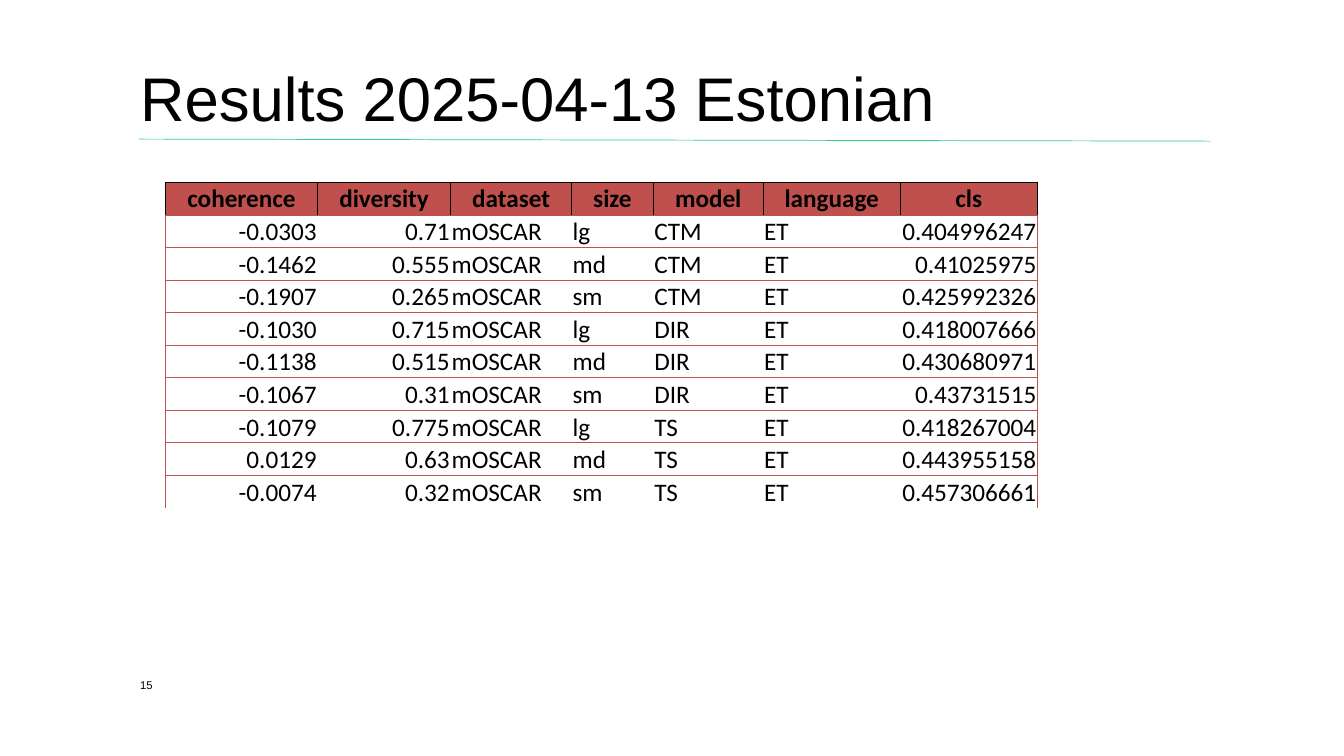
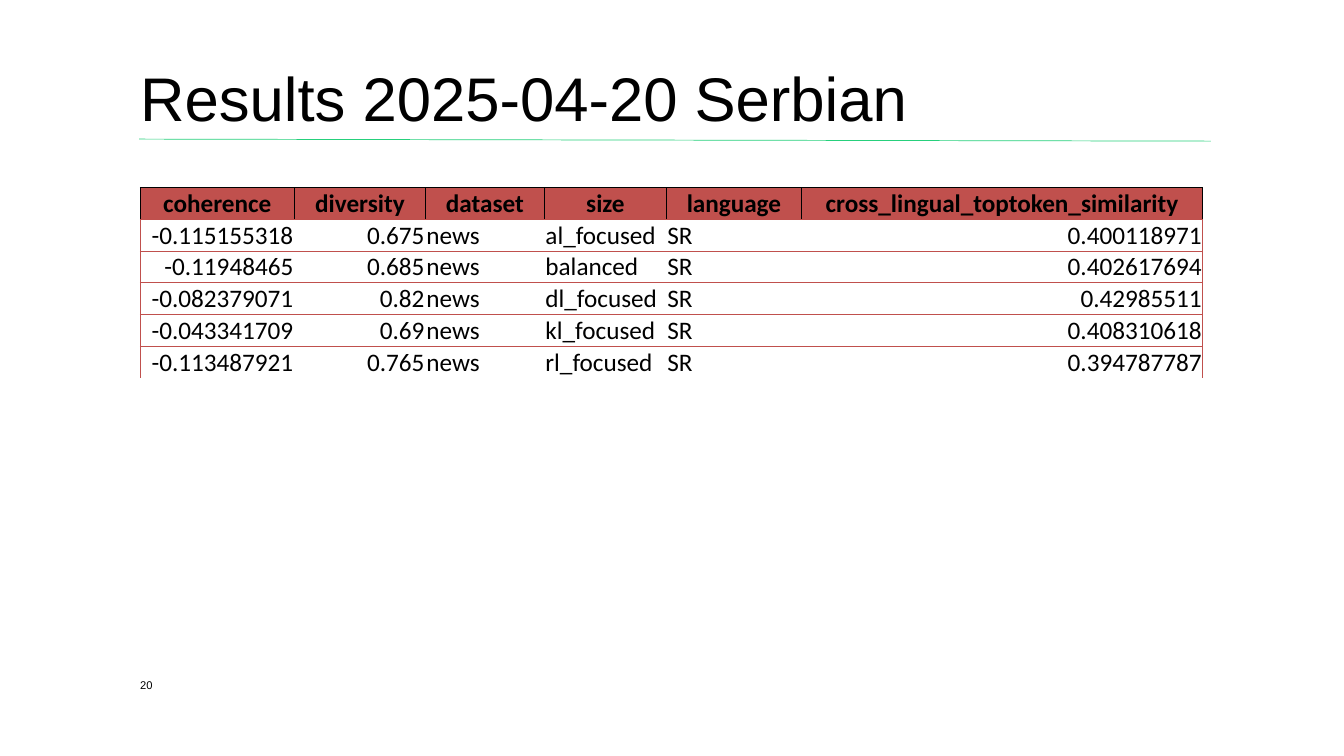
"""Build two result slides, each with a title, a rule, a page number and a table."""
import lxml.etree
import pptx
import pptx.dml.color
import pptx.enum.shapes
import pptx.enum.text
import pptx.oxml.ns
import pptx.util

Inches = pptx.util.Inches
Pt = pptx.util.Pt
qn = pptx.oxml.ns.qn
Align = pptx.enum.text.PP_ALIGN
Anchor = pptx.enum.text.MSO_ANCHOR

BLACK = pptx.dml.color.RGBColor(0x00, 0x00, 0x00)
GREEN = pptx.dml.color.RGBColor(0x26, 0xD0, 0x7C)
RED = pptx.dml.color.RGBColor(0xC0, 0x50, 0x4D)
PLAIN_TABLE_STYLE = "{2D5ABB26-0587-4C30-8999-92F81FD0307C}"

ESTONIAN_HEADER = ("coherence", "diversity", "dataset", "size", "model", "language", "cls")
ESTONIAN_WIDTHS = (1.51, 1.32, 1.2, 0.81, 1.09, 1.36, 1.36)
ESTONIAN_ROWS = [
    ("-0.0303", "0.71", "mOSCAR", "lg", "CTM", "ET", "0.404996247"),
    ("-0.1462", "0.555", "mOSCAR", "md", "CTM", "ET", "0.41025975"),
    ("-0.1907", "0.265", "mOSCAR", "sm", "CTM", "ET", "0.425992326"),
    ("-0.1030", "0.715", "mOSCAR", "lg", "DIR", "ET", "0.418007666"),
    ("-0.1138", "0.515", "mOSCAR", "md", "DIR", "ET", "0.430680971"),
    ("-0.1067", "0.31", "mOSCAR", "sm", "DIR", "ET", "0.43731515"),
    ("-0.1079", "0.775", "mOSCAR", "lg", "TS", "ET", "0.418267004"),
    ("0.0129", "0.63", "mOSCAR", "md", "TS", "ET", "0.443955158"),
    ("-0.0074", "0.32", "mOSCAR", "sm", "TS", "ET", "0.457306661"),
]
SERBIAN_HEADER = ("coherence", "diversity", "dataset", "size", "language",
                  "cross_lingual_toptoken_similarity")
SERBIAN_WIDTHS = (1.53, 1.3, 1.18, 1.21, 1.34, 3.98)
SERBIAN_ROWS = [
    ("-0.115155318", "0.675", "news", "al_focused", "SR", "0.400118971"),
    ("-0.11948465", "0.685", "news", "balanced", "SR", "0.402617694"),
    ("-0.082379071", "0.82", "news", "dl_focused", "SR", "0.42985511"),
    ("-0.043341709", "0.69", "news", "kl_focused", "SR", "0.408310618"),
    ("-0.113487921", "0.765", "news", "rl_focused", "SR", "0.394787787"),
]


def write_text(frame, text, size, font="Arial", bold=False, align=Align.LEFT, spacing=None):
    para = frame.paragraphs[0]
    para.alignment = align
    para.line_spacing = spacing
    span = para.add_run()
    span.text = text
    span.font.name = font
    span.font.size = Pt(size)
    span.font.bold = bold
    span.font.color.rgb = BLACK


def draw_border(cell, side, color):
    properties = cell._tc.get_or_add_tcPr()
    line = lxml.etree.SubElement(properties, qn("a:ln" + side), w=str(Pt(0.5)))
    fill = lxml.etree.SubElement(line, qn("a:solidFill"))
    lxml.etree.SubElement(fill, qn("a:srgbClr"), val=str(color))


class ResultDeck:
    def __init__(self):
        self.deck = pptx.Presentation()
        self.deck.slide_width = Inches(13.33)
        self.deck.slide_height = Inches(7.5)
        self.page = None

    def add_page(self, title, number):
        self.page = self.deck.slides.add_slide(self.deck.slide_layouts[6])
        self.add_rule()
        self.add_text(title, 1.39, 0.4, 10.62, 0.94, size=44, spacing=0.9)
        self.add_text(number, 1.39, 6.6, 0.5, 0.26, size=8)

    def add_rule(self):
        rule = self.page.shapes.add_connector(
            pptx.enum.shapes.MSO_CONNECTOR.STRAIGHT,
            Inches(1.38), Inches(1.38), Inches(12.01), Inches(1.4))
        rule.line.color.rgb = GREEN
        rule.line.width = Pt(0.5)
        lxml.etree.SubElement(rule._element.spPr, qn("a:effectLst"))

    def add_text(self, text, left, top, width, height, **style):
        box = self.page.shapes.add_textbox(
            Inches(left), Inches(top), Inches(width), Inches(height))
        frame = box.text_frame
        frame.word_wrap = True
        frame.vertical_anchor = Anchor.BOTTOM
        frame.margin_left = frame.margin_top = frame.margin_right = frame.margin_bottom = 0
        write_text(frame, text, **style)

    def add_results(self, header, rows, widths, left, top, height):
        lines = [header] + rows
        table = self.page.shapes.add_table(
            len(lines), len(header), Inches(left), Inches(top),
            Inches(sum(widths)), Inches(height)).table
        table.horz_banding = False
        table._tbl.tblPr.find(qn("a:tableStyleId")).text = PLAIN_TABLE_STYLE
        for column, width in zip(table.columns, widths):
            column.width = Inches(width)
        for row_index, values in enumerate(lines):
            table.rows[row_index].height = Inches(height / len(lines))
            for column_index, value in enumerate(values):
                cell = table.cell(row_index, column_index)
                cell.margin_left = cell.margin_top = cell.margin_right = Inches(0.01)
                cell.margin_bottom = 0
                if row_index == 0:
                    self.style_header(cell, value)
                else:
                    self.style_value(cell, value, column_index == 0,
                                     column_index == len(header) - 1,
                                     row_index == len(rows))

    def style_header(self, cell, value):
        for side in "LRT":
            draw_border(cell, side, BLACK)
        draw_border(cell, "B", RED)
        cell.fill.solid()
        cell.fill.fore_color.rgb = RED
        write_text(cell.text_frame, value, 18, "Calibri", bold=True, align=Align.CENTER)

    def style_value(self, cell, value, is_first, is_last, is_bottom):
        shown = {"L": is_first, "R": is_last, "T": True, "B": not is_bottom}
        for side in filter(shown.get, shown):
            draw_border(cell, side, RED)
        cell.fill.background()
        cell.vertical_anchor = Anchor.BOTTOM
        is_number = value.lstrip("-")[0].isdigit()
        write_text(cell.text_frame, value, 18, "Calibri",
                   align=Align.RIGHT if is_number else Align.LEFT)


def main():
    results = ResultDeck()
    results.add_page("Results 2025-04-13 Estonian", "15")
    results.add_results(ESTONIAN_HEADER, ESTONIAN_ROWS, ESTONIAN_WIDTHS, 1.64, 1.81, 3.23)
    results.add_page("Results 2025-04-20 Serbian", "20")
    results.add_results(SERBIAN_HEADER, SERBIAN_ROWS, SERBIAN_WIDTHS, 1.39, 1.86, 1.89)
    results.deck.save("out.pptx")


if __name__ == "__main__":
    main()
